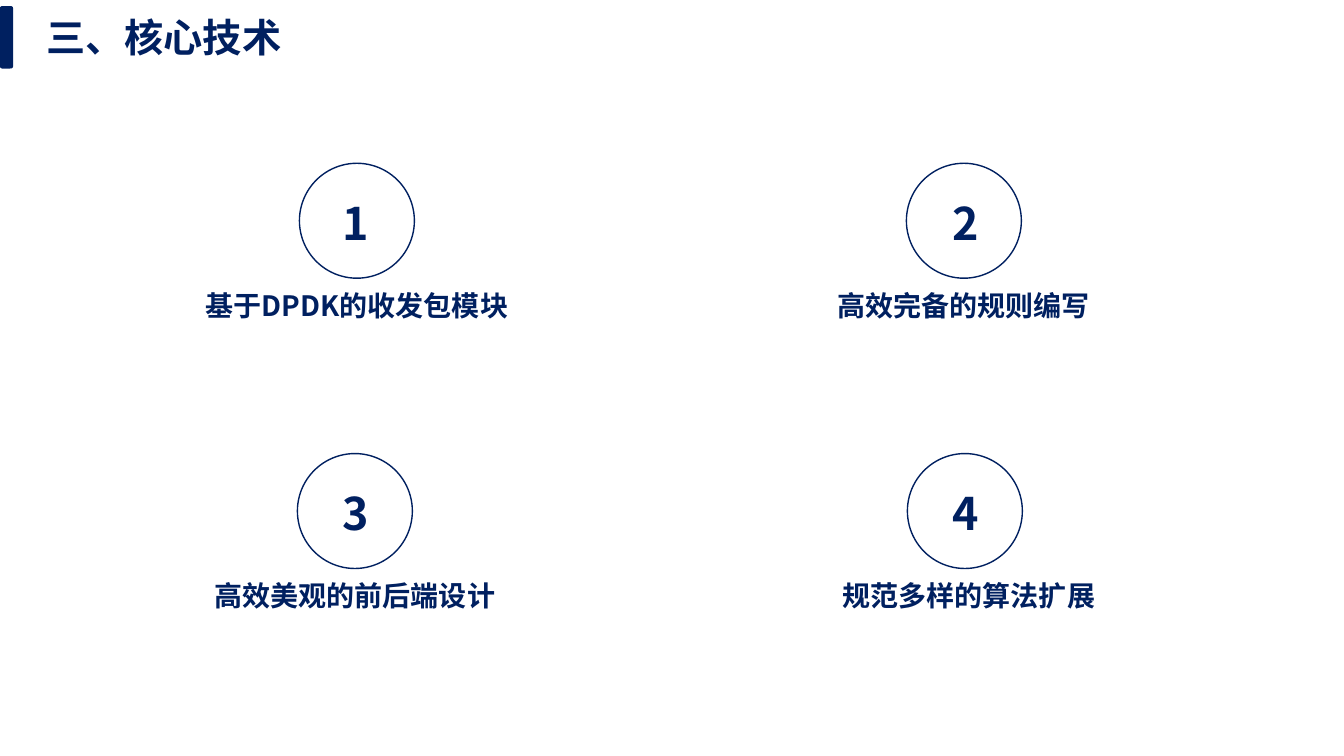
from lxml import etree
from pptx import Presentation
from pptx.dml.color import RGBColor
from pptx.enum.shapes import MSO_SHAPE
from pptx.enum.text import MSO_ANCHOR, MSO_AUTO_SIZE, PP_ALIGN
from pptx.oxml.ns import qn
from pptx.util import Inches, Pt

NAVY = RGBColor(0x00, 0x20, 0x60)
WHITE = RGBColor(0xFF, 0xFF, 0xFF)
FONT = "Noto Sans CJK SC"

HEADING = "三、核心技术"
# number, label, circle centre x, label centre x, label width (inches)
TECHNOLOGIES = [
    ("1", "基于DPDK的收发包模块", 3.54, 3.54, 3.27),
    ("2", "高效完备的规则编写", 9.56, 9.56, 2.73),
    ("3", "高效美观的前后端设计", 3.52, 3.52, 3.01),
    ("4", "规范多样的算法扩展", 9.57, 9.61, 2.73),
]
COLUMNS = 2
NUMBER_CENTRES = [3.53, 9.58]
FIRST_ROW, ROW_STEP = 1.62, 2.88
CIRCLE = 1.14
NUMBER_WIDTH, NUMBER_HEIGHT, NUMBER_DROP = 1.62, 0.64, 0.27
LABEL_HEIGHT, LABEL_DROP = 0.44, 1.19


def write(frame, text, size, align, wrap=True):
    frame.word_wrap = wrap
    frame.auto_size = MSO_AUTO_SIZE.NONE
    frame.vertical_anchor = MSO_ANCHOR.TOP
    paragraph = frame.paragraphs[0]
    paragraph.alignment = align
    run = paragraph.add_run()
    run.text = text
    run.font.name = FONT
    run.font.size = Pt(size)
    run.font.bold = True
    run.font.color.rgb = NAVY
    east_asian = etree.SubElement(run.font._element, qn("a:ea"))
    east_asian.set("typeface", FONT)


def add_plain(shapes, preset, left, top, width, height, fill):
    shape = shapes.add_shape(
        preset, Inches(left), Inches(top), Inches(width), Inches(height))
    shape.shadow.inherit = False
    shape.fill.solid()
    shape.fill.fore_color.rgb = fill
    return shape


def add_centred_text(shapes, text, size, centre, top, width, height):
    box = shapes.add_textbox(
        Inches(centre - width / 2), Inches(top), Inches(width), Inches(height))
    write(box.text_frame, text, size, PP_ALIGN.CENTER)


def main():
    deck = Presentation()
    deck.slide_width, deck.slide_height = Inches(13.33), Inches(7.5)
    slide = deck.slides.add_slide(deck.slide_layouts[5])
    shapes = slide.shapes

    accent = add_plain(shapes, MSO_SHAPE.ROUNDED_RECTANGLE,
                       0, 0.06, 0.13, 0.62, NAVY)
    accent.line.fill.background()

    title = shapes.title
    title.left, title.top = Inches(0.36), Inches(0.08)
    title.width, title.height = Inches(2.56), Inches(0.57)
    write(title.text_frame, HEADING, 28, PP_ALIGN.LEFT, wrap=False)

    for index, (number, label, centre, label_centre, label_width) in enumerate(TECHNOLOGIES):
        row, column = divmod(index, COLUMNS)
        top = FIRST_ROW + row * ROW_STEP
        add_centred_text(shapes, label, 20, label_centre, top + LABEL_DROP,
                         label_width, LABEL_HEIGHT)
        circle = add_plain(shapes, MSO_SHAPE.OVAL, centre - CIRCLE / 2, top,
                           CIRCLE, CIRCLE, WHITE)
        circle.line.color.rgb = NAVY
        circle.line.width = Pt(1)
        add_centred_text(shapes, number, 32, NUMBER_CENTRES[column],
                         top + NUMBER_DROP, NUMBER_WIDTH, NUMBER_HEIGHT)

    deck.save("out.pptx")


if __name__ == "__main__":
    main()
